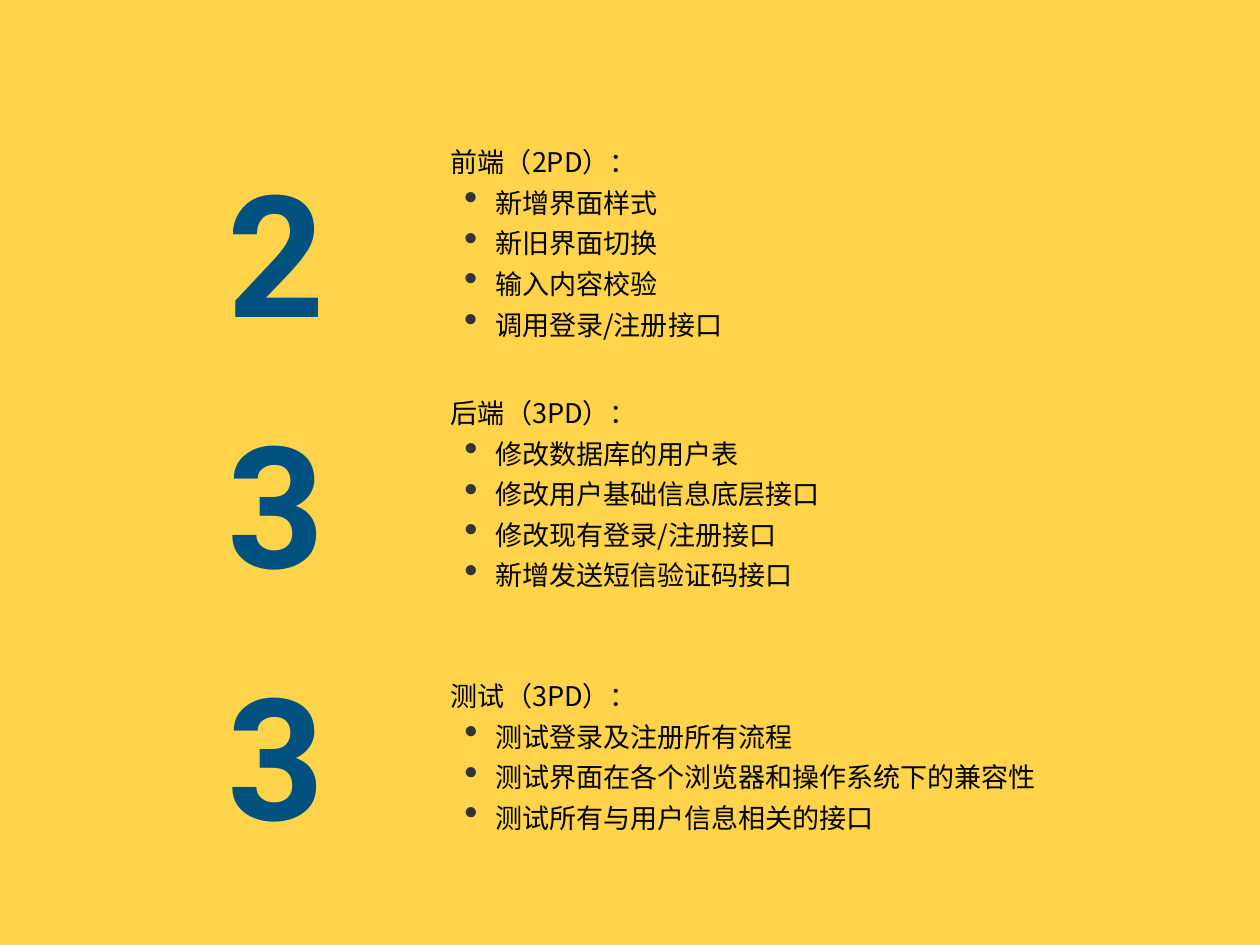
from lxml import etree
from pptx import Presentation
from pptx import util as u
from pptx.dml.color import RGBColor
from pptx.enum import shapes, text
from pptx.oxml.ns import qn

YELLOW, BLUE, BLACK, GREY = "FFD44B", "005180", "000000", "333333"
CJK = "Noto Sans CJK SC"

# left, top, width, height of each task box; heading; tasks; wraps
TASKS = [
    ((5.03, 1.52, 3.24, 2.36), "前端（2PD）：",
     ["新增界面样式", "新旧界面切换", "输入内容校验", "调用登录/注册接口"], True),
    ((5.03, 4.35, 4.32, 2.36), "后端（3PD）：",
     ["修改数据库的用户表", "修改用户基础信息底层接口",
      "修改现有登录/注册接口", "新增发送短信验证码接口"], False),
    ((5.03, 7.55, 6.79, 1.9), "测试（3PD）：",
     ["测试登录及注册所有流程", "测试界面在各个浏览器和操作系统下的兼容性",
      "测试所有与用户信息相关的接口"], False),
]
DAYS = ["2 ", "3 ", "3 "]


def color(code):
    return RGBColor.from_string(code)


def paint(fill, code):
    fill.solid()
    fill.fore_color.rgb = color(code)


def style(para, name, size, code, bold=False):
    font = para.font
    font.name, font.size, font.bold = name, u.Pt(size), bold
    font.color.rgb = color(code)
    # East Asian letters need their own typeface entry
    props = para._p.get_or_add_pPr().find(qn("a:defRPr"))
    etree.SubElement(props, qn("a:ea"), typeface=name)


def bullet(para):
    props = para._p.get_or_add_pPr()
    props.set("marL", str(u.Inches(0.5)))
    props.set("indent", str(u.Inches(-0.35)))
    tint = etree.SubElement(props, qn("a:buClr"))
    etree.SubElement(tint, qn("a:srgbClr"), val=GREY)
    etree.SubElement(props, qn("a:buSzPct"), val="145000")
    etree.SubElement(props, qn("a:buChar"), char="•")


def set_frame(frame, wrap=True):
    frame.word_wrap = wrap
    frame.auto_size = text.MSO_AUTO_SIZE.SHAPE_TO_FIT_TEXT
    frame.vertical_anchor = text.MSO_ANCHOR.MIDDLE
    frame.margin_left = frame.margin_right = u.Inches(0.06)
    frame.margin_top = frame.margin_bottom = u.Inches(0.06)


def add_box(slide, place):
    box = slide.shapes.add_shape(
        shapes.MSO_SHAPE.RECTANGLE, *map(u.Inches, place))
    box.shadow.inherit = False
    paint(box.fill, YELLOW)
    box.line.fill.background()
    return box


def add_tasks(slide, place, head, tasks, wrap):
    if wrap:
        box = add_box(slide, place)
    else:
        box = slide.shapes.add_textbox(*map(u.Inches, place))
    frame = box.text_frame
    set_frame(frame, wrap)
    for num, line in enumerate([head, *tasks]):
        para = frame.add_paragraph() if num else frame.paragraphs[0]
        para.text = line
        para.alignment = text.PP_ALIGN.LEFT
        para.line_spacing = u.Pt(33)
        if num:
            bullet(para)
        style(para, CJK, 22, BLACK)


def add_days(slide, top, label):
    frame = add_box(slide, (2.49, top, 1.74, 2.43)).text_frame
    set_frame(frame)
    para = frame.paragraphs[0]
    para.text = label
    para.alignment = text.PP_ALIGN.CENTER
    style(para, "Roboto", 138, BLUE, True)


def main():
    deck = Presentation()
    deck.slide_width, deck.slide_height = u.Inches(14.22), u.Inches(10.67)
    slide = deck.slides.add_slide(deck.slide_layouts[6])
    paint(slide.background.fill, YELLOW)

    # Task lists
    for group in TASKS:
        add_tasks(slide, *group)

    # Person-day figures
    for row, label in enumerate(DAYS):
        add_days(slide, 1.6 + 2.84 * row, label)

    deck.save("out.pptx")


if __name__ == "__main__":
    main()
